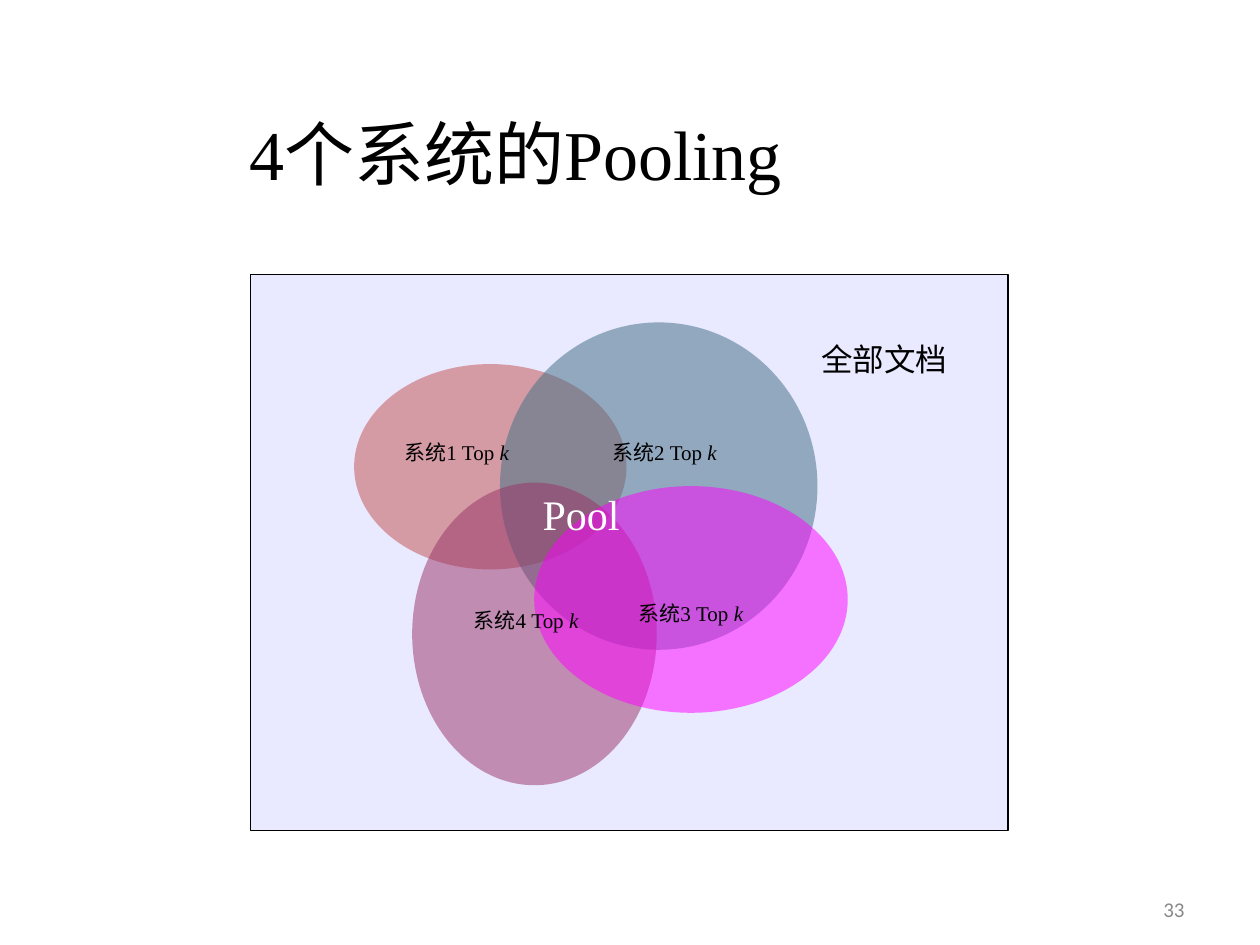
"""Build a slide showing the pooled top-k results of four retrieval systems."""
from lxml.etree import SubElement
from pptx import Presentation
from pptx.dml.color import RGBColor
from pptx.enum.shapes import MSO_SHAPE as Shape
from pptx.enum.text import MSO_ANCHOR as Anchor, MSO_AUTO_SIZE as AutoSize, PP_ALIGN as Align
from pptx.oxml.ns import qn
from pptx.util import Cm, Pt

BLACK = RGBColor(0x00, 0x00, 0x00)
WHITE = RGBColor(0xFF, 0xFF, 0xFF)
GRAY = RGBColor(0x89, 0x89, 0x89)
LAVENDER = RGBColor(0xCC, 0xCC, 0xFF)
RED = RGBColor(0xC0, 0x50, 0x4D)
STEEL = RGBColor(0x43, 0x70, 0x85)
PLUM = RGBColor(0x99, 0x33, 0x66)
MAGENTA = RGBColor(0xFF, 0x00, 0xFF)


class SlideBuilder:
    font = "Times New Roman"

    def __init__(self, page):
        self.page = page

    def area(self, kind, place, color, opacity, outline=None):
        shape = self.page.shapes.add_shape(kind, *map(Cm, place))
        shape.shadow.inherit = False
        shape.fill.solid()
        shape.fill.fore_color.rgb = color
        tint = shape.fill._xPr.find(".//" + qn("a:srgbClr"))
        SubElement(tint, qn("a:alpha"), val=str(opacity * 1000))
        if outline is None:
            shape.line.fill.background()
        else:
            shape.line.color.rgb = outline
            shape.line.width = Pt(0.75)

    def text(self, place, spans, size, color=BLACK, font=None,
             anchor=Anchor.TOP, align=Align.LEFT, grow=True):
        box = self.page.shapes.add_textbox(*map(Cm, place))
        frame = box.text_frame
        frame.word_wrap = True
        frame.auto_size = AutoSize.SHAPE_TO_FIT_TEXT if grow else AutoSize.NONE
        frame.vertical_anchor = anchor
        para = frame.paragraphs[0]
        para.alignment = align
        for content, italic in spans:
            span = para.add_run()
            span.text = content
            span.font.name = font or self.font
            span.font.size = Pt(size)
            span.font.italic = italic
            span.font.color.rgb = color


def main():
    deck = Presentation()
    deck.slide_width, deck.slide_height = Cm(25.4), Cm(19.05)
    builder = SlideBuilder(deck.slides.add_slide(deck.slide_layouts[6]))

    builder.area(Shape.RECTANGLE, (5.05, 5.54, 15.27, 11.2), LAVENDER, 43, BLACK)
    builder.text((4.78, 0.86, 16.87, 3.18), [("4个系统的Pooling", False)], 40,
                 anchor=Anchor.BOTTOM, grow=False)
    builder.text((18.21, 17.98, 5.92, 0.69), [("33", False)], 12, GRAY, "Calibri",
                 Anchor.MIDDLE, Align.RIGHT, grow=False)

    result_sets = [
        ((7.14, 7.34, 5.49, 4.14), RED, 51),
        ((10.08, 6.5, 6.4, 6.6), STEEL, 53),
        ((8.31, 9.73, 4.93, 6.1), PLUM, 51),
        ((10.77, 9.8, 6.32, 4.57), MAGENTA, 51),
    ]
    for place, color, opacity in result_sets:
        builder.area(Shape.OVAL, place, color, opacity)

    label_corners = [(7.9, 8.74), (12.09, 8.74), (12.62, 11.99), (9.3, 12.12)]
    for number, corner in enumerate(label_corners, 1):
        builder.text((*corner, 3, 0.76), [(f"系统{number} Top ", False), ("k", True)], 12)

    builder.text((16.31, 6.73, 4.01, 1.02), [("全部文档", False)], 18)
    builder.text((10.69, 9.73, 3.99, 1.27), [("Pool", False)], 24, WHITE)
    deck.save("out.pptx")


if __name__ == "__main__":
    main()
